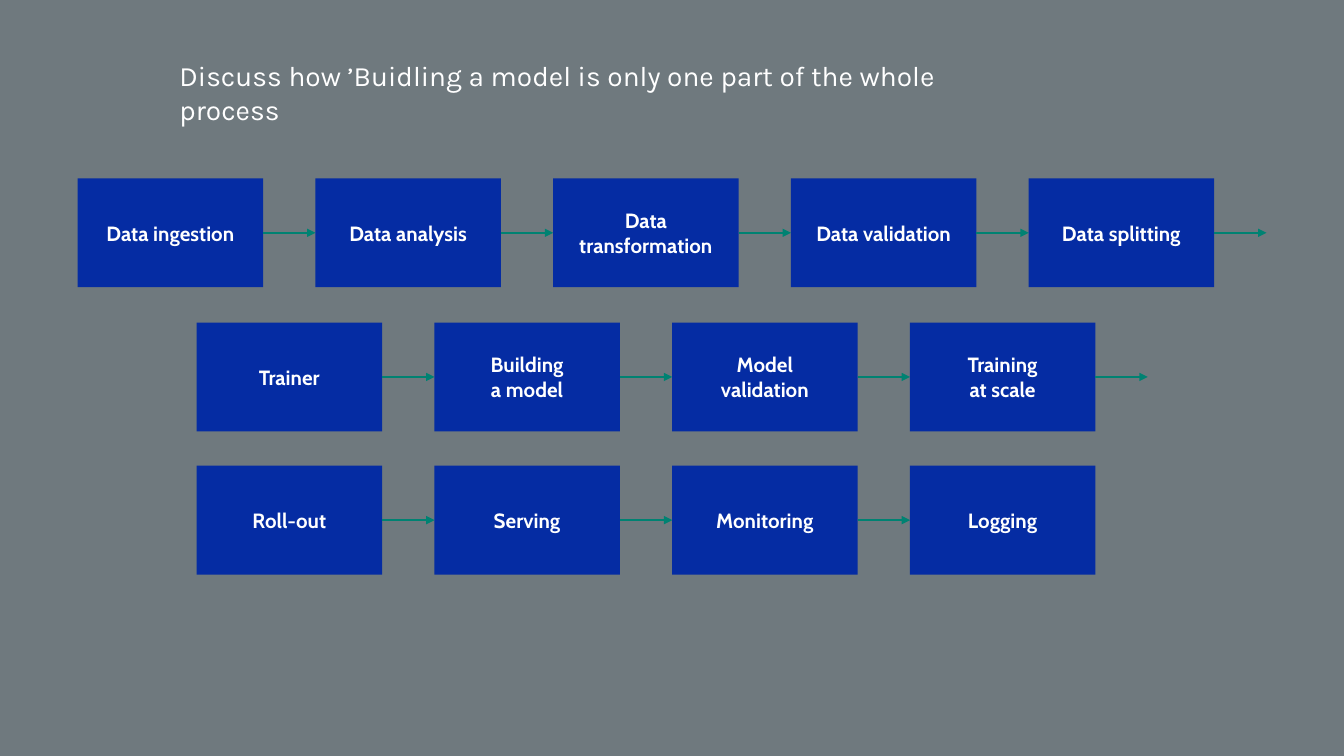
from lxml import etree
from pptx import Presentation
from pptx.dml.color import RGBColor
from pptx.enum.shapes import MSO_CONNECTOR, MSO_SHAPE
from pptx.enum.text import MSO_ANCHOR, PP_ALIGN
from pptx.oxml.ns import qn
from pptx.util import Inches, Pt

RECTANGLE = MSO_SHAPE.RECTANGLE
STRAIGHT = MSO_CONNECTOR.STRAIGHT
MIDDLE = MSO_ANCHOR.MIDDLE
CENTER = PP_ALIGN.CENTER

PAGE_WIDTH, PAGE_HEIGHT = 13.33, 7.5
STEP_WIDTH, STEP_HEIGHT = 1.84, 1.08
ARROW_LENGTH = 0.52
STEP_PITCH = 2.358
OVERLAY, BLUE, GREEN, WHITE = "182730", "052CA3", "008272", "FFFFFF"

STAGES = [
    (0.77, 1.77, ["Data ingestion", "Data analysis", "Data transformation",
                  "Data validation", "Data splitting"], True),
    (1.95, 3.2, ["Trainer", "Building\va model", "Model\vvalidation",
                 "Training\vat scale"], True),
    (1.95, 4.62, ["Roll-out", "Serving", "Monitoring", "Logging"], False),
]


def color(value):
    """Return the colour for a hex string."""
    return RGBColor.from_string(value)


def style_text(frame, font_name, size, bold, margin):
    """Format every run and the margins of a text frame."""
    frame.word_wrap = True
    frame.margin_left = frame.margin_right = Inches(margin)
    frame.margin_top = frame.margin_bottom = Inches(margin)
    for para in frame.paragraphs:
        for span in para.runs:
            span.font.name = font_name
            span.font.size = Pt(size)
            span.font.bold = bold
            span.font.color.rgb = color(WHITE)


def add_block(page, left, top, width, height, fill):
    """Add a plain filled rectangle."""
    block = page.shapes.add_shape(RECTANGLE, Inches(left), Inches(top),
                                  Inches(width), Inches(height))
    block.shadow.inherit = False
    block.fill.solid()
    block.fill.fore_color.rgb = color(fill)
    block.line.fill.background()
    return block


def add_backdrop(page):
    """Cover the page with a translucent dark overlay."""
    overlay = add_block(page, 0, 0, PAGE_WIDTH, PAGE_HEIGHT, OVERLAY)
    tint = overlay.fill._xPr.find(qn("a:solidFill")).find(qn("a:srgbClr"))
    etree.SubElement(tint, qn("a:alpha")).set("val", "62000")


def add_title(page, left, top, width, height):
    """Add the discussion prompt."""
    box = page.shapes.add_textbox(Inches(left), Inches(top), Inches(width), Inches(height))
    box.text_frame.text = "Discuss how ’Buidling a model is only one part of the whole process"
    style_text(box.text_frame, "Karla", 20, False, 0)


def add_step(page, left, top, label):
    """Add one labelled step of the process."""
    box = add_block(page, left, top, STEP_WIDTH, STEP_HEIGHT, BLUE)
    frame = box.text_frame
    frame.text = label
    frame.vertical_anchor = MIDDLE
    frame.paragraphs[0].alignment = CENTER
    style_text(frame, "Cabin", 14.7, True, 0.1)


def add_arrow(page, left, middle):
    """Add a short arrow pointing right."""
    arrow = page.shapes.add_connector(STRAIGHT, Inches(left), Inches(middle),
                                      Inches(left + ARROW_LENGTH), Inches(middle))
    arrow.line.color.rgb = color(GREEN)
    arrow.line.width = Pt(1.5)
    etree.SubElement(arrow.line._get_or_add_ln(), qn("a:tailEnd")).set("type", "triangle")
    etree.SubElement(arrow._element.spPr, qn("a:effectLst"))


def add_stage(page, left, top, labels, continues):
    """Add a row of steps joined by arrows, with a last arrow if it continues."""
    for index, label in enumerate(labels):
        step_left = left + index * STEP_PITCH
        add_step(page, step_left, top, label)
        if continues or index < len(labels) - 1:
            add_arrow(page, step_left + STEP_WIDTH, top + STEP_HEIGHT / 2)


def main():
    """Build and save the deck."""
    deck = Presentation()
    deck.slide_width, deck.slide_height = Inches(PAGE_WIDTH), Inches(PAGE_HEIGHT)
    page = deck.slides.add_slide(deck.slide_layouts[6])
    page.background.fill.solid()
    page.background.fill.fore_color.rgb = color(WHITE)
    add_backdrop(page)
    for left, top, labels, continues in STAGES:
        add_stage(page, left, top, labels, continues)
    add_title(page, 1.78, 0.58, 8.4, 0.34)
    deck.save("out.pptx")


if __name__ == "__main__":
    main()
